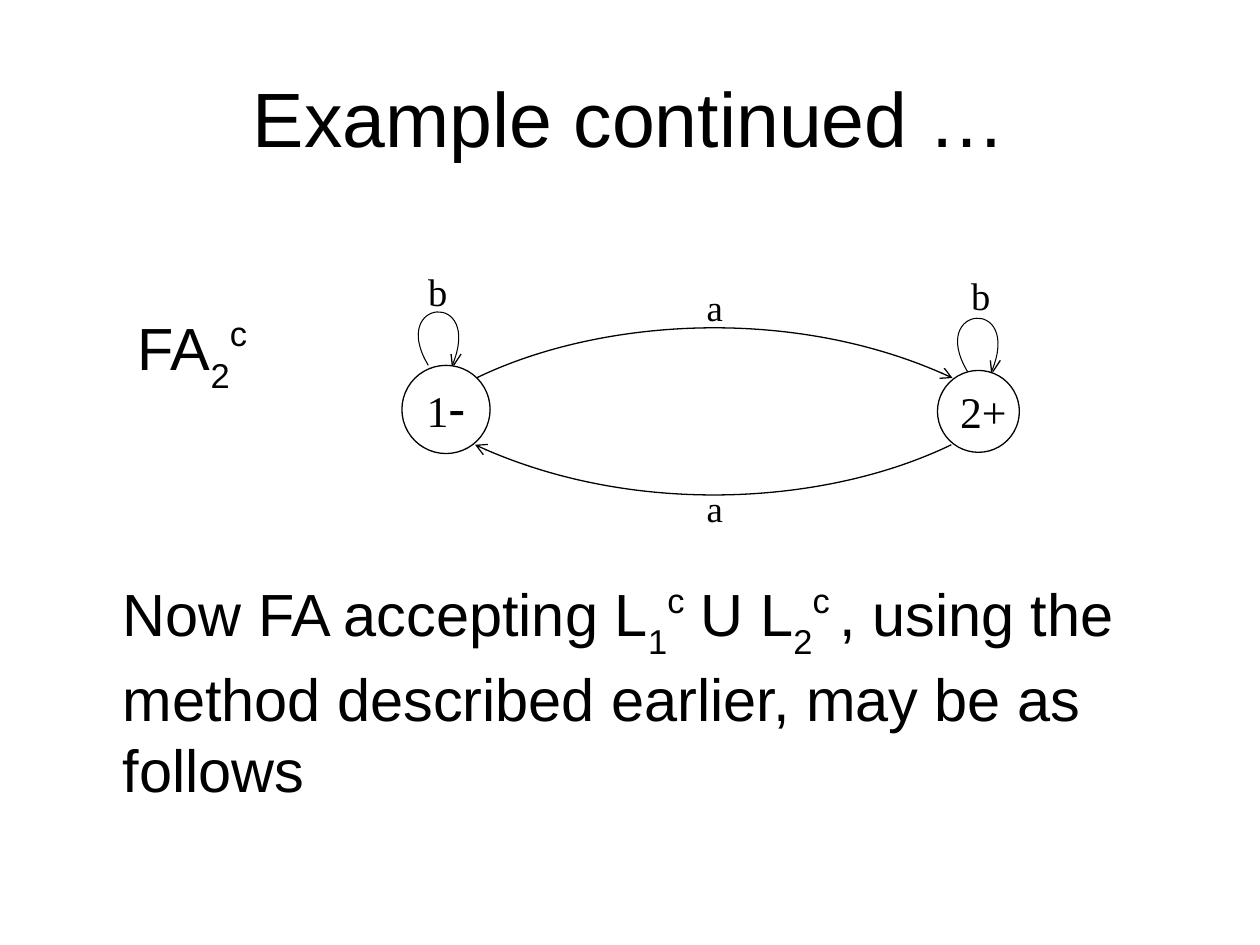
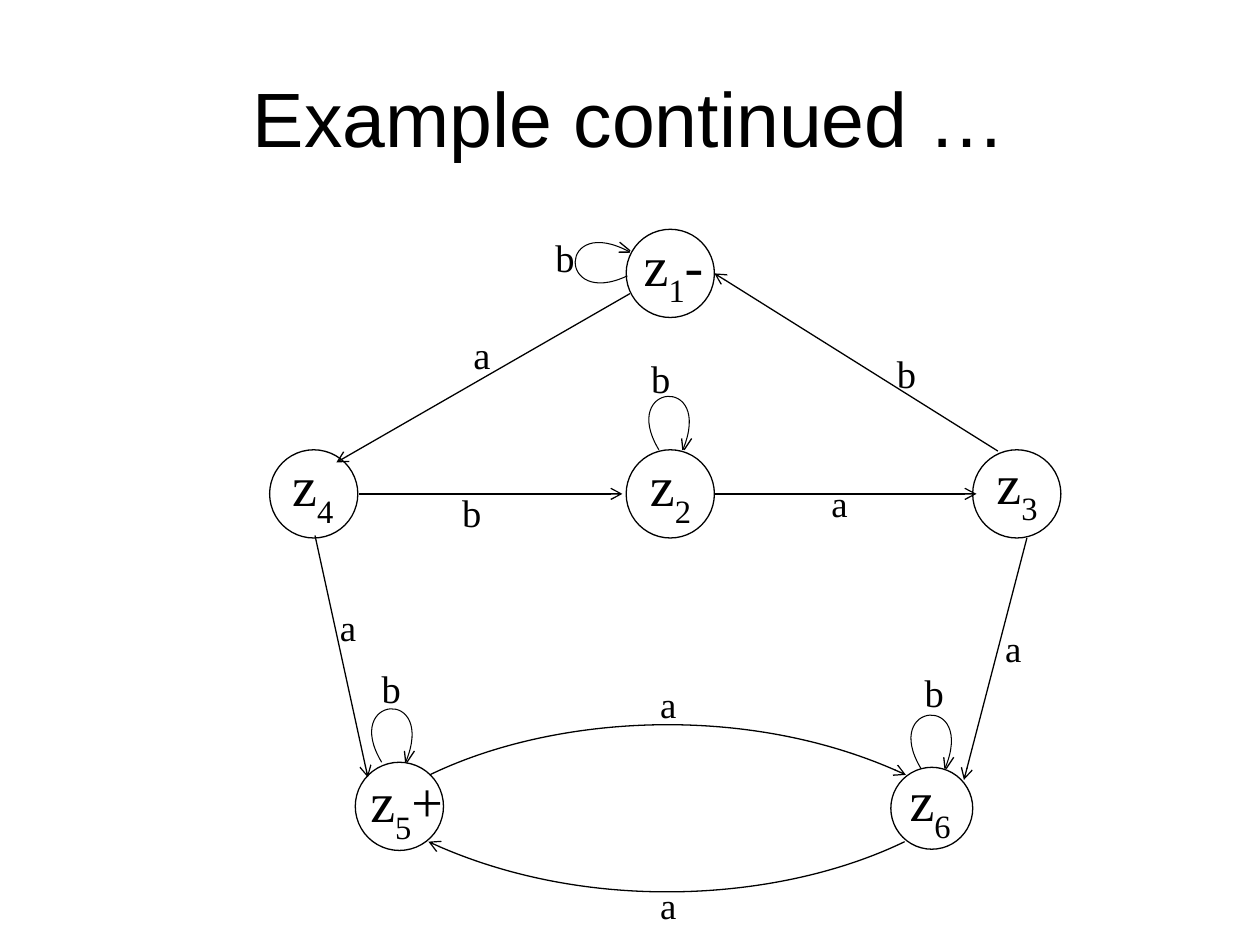
from math import cos, radians, sin

from lxml.etree import SubElement
from pptx import Presentation
from pptx.dml.color import RGBColor
from pptx.enum.shapes import MSO_CONNECTOR, MSO_SHAPE
from pptx.enum.text import MSO_ANCHOR, PP_ALIGN
from pptx.oxml.ns import qn
from pptx.util import Inches, Pt

# Grid of 100 columns by 75 rows; all lengths below are in grid cells
WIDE, HIGH = Inches(10), Inches(7.5)
CELL = WIDE // 100
INK, PAPER = "000000", "FFFFFF"
SANS, SERIF = "Arial", "Times New Roman"
TITLE = "Example continued …"
SUB, SUP = {"base": -30}, {"base": 40}


def cells(*nums):
    return [round(num * CELL) for num in nums]


def shift(spot, *points):
    return [(spot[0] + x, spot[1] + y) for x, y in points]


def paint(part, color):
    part.solid()
    part.fore_color.rgb = RGBColor.from_string(color)


def write(slide, box, paras, size=22, font=SERIF, color=INK, align=PP_ALIGN.LEFT,
          anchor=MSO_ANCHOR.TOP, pad=(1, 0.5), gaps=(), dents=()):
    """Each paragraph is a list of (text, format) runs."""
    frame = slide.shapes.add_textbox(*cells(*box)).text_frame
    frame.word_wrap = True
    frame.vertical_anchor = anchor
    frame.margin_left, frame.margin_top = cells(*pad)
    frame.margin_right, frame.margin_bottom = cells(1, 0.5)
    for i, runs in enumerate(paras):
        para = frame.paragraphs[0] if i == 0 else frame.add_paragraph()
        para.alignment = align
        if gaps:
            para.space_before = Pt(gaps[i])
        if dents:
            para._p.get_or_add_pPr().set("marL", str(cells(dents[i])[0]))
        for text, form in runs:
            run = para.add_run()
            run.text = text
            run.font.size = Pt(form.get("size", size))
            run.font.name = form.get("font", font)
            run.font.color.rgb = RGBColor.from_string(color)
            if "base" in form:
                run.font._element.set("baseline", str(form["base"] * 1000))


def stroke(shape, width=0.75, arrow=False):
    shape.line.width = Pt(width)
    paint(shape.line.fill, INK)
    props = shape._element.spPr
    if arrow:
        SubElement(props.find(qn("a:ln")), qn("a:tailEnd"), type="arrow")
    if props.find(qn("a:effectLst")) is None:
        SubElement(props, qn("a:effectLst"))


def trace(shapes, points, width=0.75, arrow=False):
    """Two points give a straight stroke, four a Bezier curve."""
    start, *rest = [cells(*point) for point in points]
    pen = shapes.build_freeform(*start)
    pen.add_line_segments(rest, close=False)
    shape = pen.convert_to_shape()
    shape.fill.background()
    stroke(shape, width, arrow)
    if len(rest) == 3:
        path = shape._element.find(".//" + qn("a:path"))
        curve = SubElement(path, qn("a:cubicBezTo"))
        for step in path.findall(qn("a:lnTo")):
            curve.append(step[0])
            path.remove(step)


def mark(slide, spot, text, size=None, box=None):
    wide, high = box or ((3.3, 3.3) if text == "a" else (8.4, 5.6))
    size = size or (21 if text == "a" else 22)
    write(slide, (*spot, wide, high), [[(text, {})]], size=size)


def state(slide, spot, runs, nudge, size=32, inset=0, wide=7):
    """Circle with its name, moved from the corner by nudge."""
    ring = slide.shapes.add_shape(MSO_SHAPE.OVAL, *cells(*spot, wide, wide))
    ring.shadow.inherit = False
    paint(ring.fill, PAPER)
    stroke(ring)
    [corner] = shift(spot, nudge)
    write(slide, (*corner, 9.8, 6.8), [runs], size=size, pad=(1 + inset, 2.26))


def loop(slide, spot, tag, turn=0):
    """Self-loop from spot, turned about it, with a b at offset tag."""
    c, s = cos(radians(turn)), sin(radians(turn))
    group = slide.shapes.add_group_shape()
    bend = [(0, 0), (-3.2, -5.3), (4.4, -6), (1.9, 0)]
    barbs = [[(2, 0), (2.6, -0.9)], [(1.8, -0.9), (1.9, 0)]]
    for points, width in [(bend, 0.6)] + [(barb, 0.75) for barb in barbs]:
        turned = [(x * c - y * s, x * s + y * c) for x, y in points]
        trace(group.shapes, shift(spot, *turned), width)
    mark(slide, shift(spot, tag)[0], "b")


def edge(slide, start, end):
    line = slide.shapes.add_connector(MSO_CONNECTOR.STRAIGHT, *cells(*start, *end))
    stroke(line, arrow=True)


def pair(slide, spot, left, right):
    """Two looped states joined by an arc each way."""
    def at(*point):
        return shift(spot, point)[0]

    state(slide, at(42.5, 0.4), wide=6.5, **right)
    state(slide, at(0, 0), **left)
    trace(slide.shapes, shift(spot, (5.9, 1), (15.6, -3.7), (31.3, -4.8), (43.7, 1)),
          arrow=True)
    trace(slide.shapes, shift(spot, (43.6, 6.3), (33.9, 11), (18.3, 12.1), (5.8, 6.3)),
          arrow=True)
    mark(slide, at(23.2, -6.9), "a")
    mark(slide, at(23.2, 9.1), "a", box=(3.9, 4.6))
    loop(slide, at(2.1, 0), (-1, -8.2))
    loop(slide, at(44.9, 0.5), (-0.7, -8.4))


def start(deck):
    slide = deck.slides.add_slide(deck.slide_layouts[6])
    paint(slide.background.fill, PAPER)
    write(slide, (5, 3, 90, 12.5), [[(TITLE, {})]], size=44, font=SANS,
          align=PP_ALIGN.CENTER, anchor=MSO_ANCHOR.MIDDLE)
    return slide


def first(deck):
    slide = start(deck)
    # Body text around the diagram
    name = [("FA", {}), ("2", SUB), ("c", SUP)]
    claim = [("Now FA accepting L", {}), ("1", SUB), ("c", SUP), (" U L", {}),
             ("2", SUB), ("c ", SUP),
             (", using the method described earlier, may be as follows", {})]
    write(slide, (5, 17.5, 90, 49.5), [name, claim], size=34, font=SANS,
          pad=(4.75, 7.2), gaps=(0, 104), dents=(1.2, 0))
    # Two-state machine
    dash = ("-", {"size": 30, "font": SANS})
    pair(slide, (31.9, 29),
         dict(runs=[("1", {}), dash], nudge=(-1.3, -1.5), size=25, inset=2.25),
         dict(runs=[("2+", {})], nudge=(-1.1, -1.1), size=25, inset=1.9))


def second(deck):
    slide = start(deck)

    def name(digit, sign=""):
        return [("z", {}), (digit, SUB)] + ([(sign, {})] if sign else [])

    # Lower pair
    pair(slide, (28.2, 60.5), dict(runs=name("5", "+"), nudge=(0.2, -1.9)),
         dict(runs=name("6"), nudge=(0.5, -2.4)))
    # Upper states
    mid, row = 49.7, 35.7
    for spot, runs, nudge in [((21.4, row), name("4"), (0.8, -2.2)),
                              ((77.2, row), name("3"), (0.9, -2.4)),
                              ((mid, row), name("2"), (0.9, -2.2)),
                              ((mid, 18.2), name("1", "-"), (0.4, -2.2))]:
        state(slide, spot, runs, nudge)
    # Straight moves
    for tail, head in [((25, 42.5), (29.2, 61.7)), ((81.5, 42.7), (76.5, 61.9)),
                       ((28.5, 39.2), (49.4, 39.2)), ((56.7, 39.2), (77.5, 39.2)),
                       ((79.2, 35.8), (56.7, 21.7)), ((50, 23.3), (26.7, 36.7))]:
        edge(slide, tail, head)
    for spot, text in [((26, 47.5), "a"), ((78.8, 49.2), "a"), ((65, 37.7), "a"),
                       ((35.7, 38.3), "b"), ((70.2, 27.3), "b")]:
        mark(slide, spot, text)
    mark(slide, (36.6, 25.8), "a", size=22, box=(8.4, 5.6))
    # Self-loops
    loop(slide, (52.3, row), (-1.6, -8))
    loop(slide, (49.8, 21.9), (-6.7, -3.8), turn=-84)


def main():
    deck = Presentation()
    deck.slide_width, deck.slide_height = WIDE, HIGH
    first(deck)
    second(deck)
    deck.save("out.pptx")


if __name__ == "__main__":
    main()
